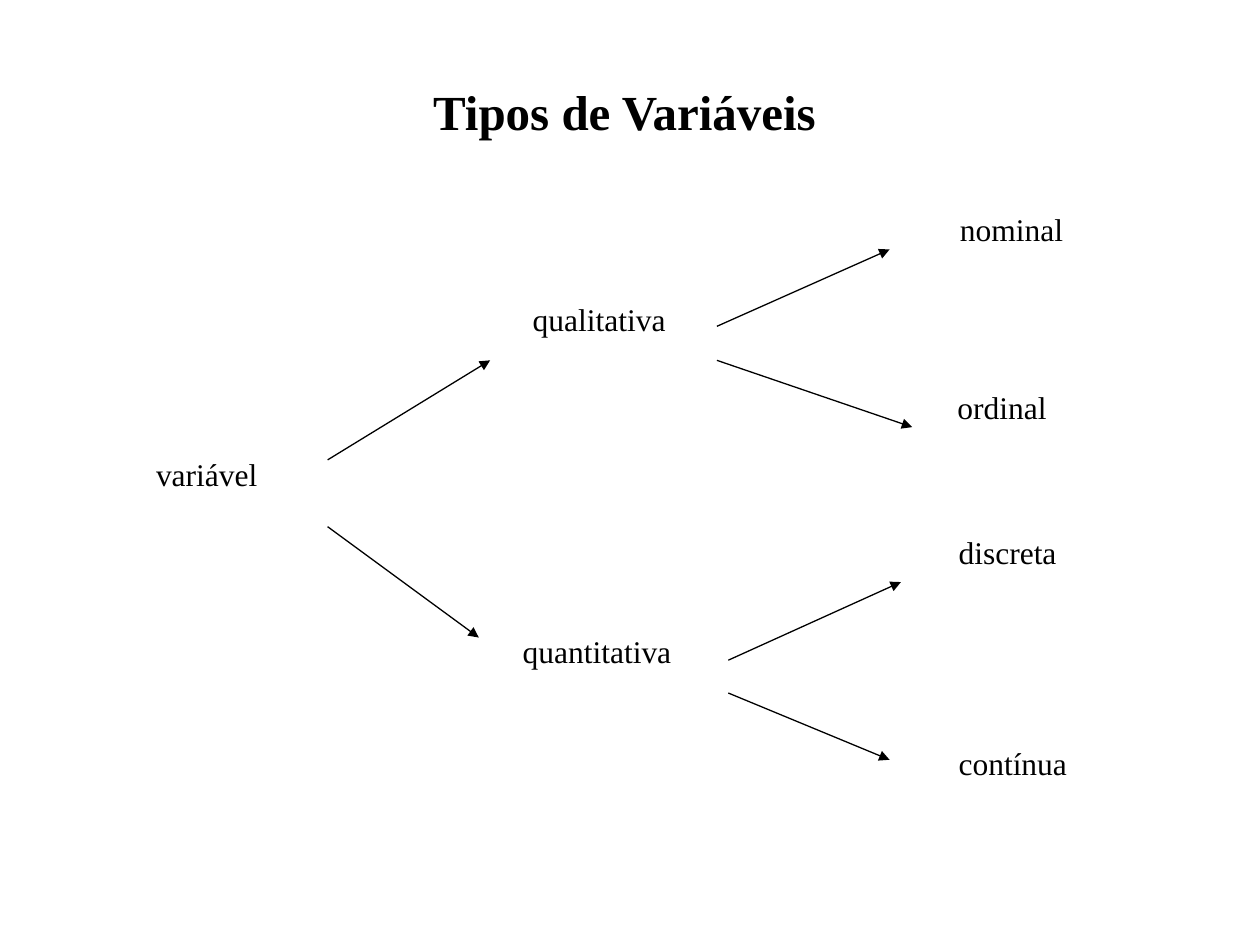
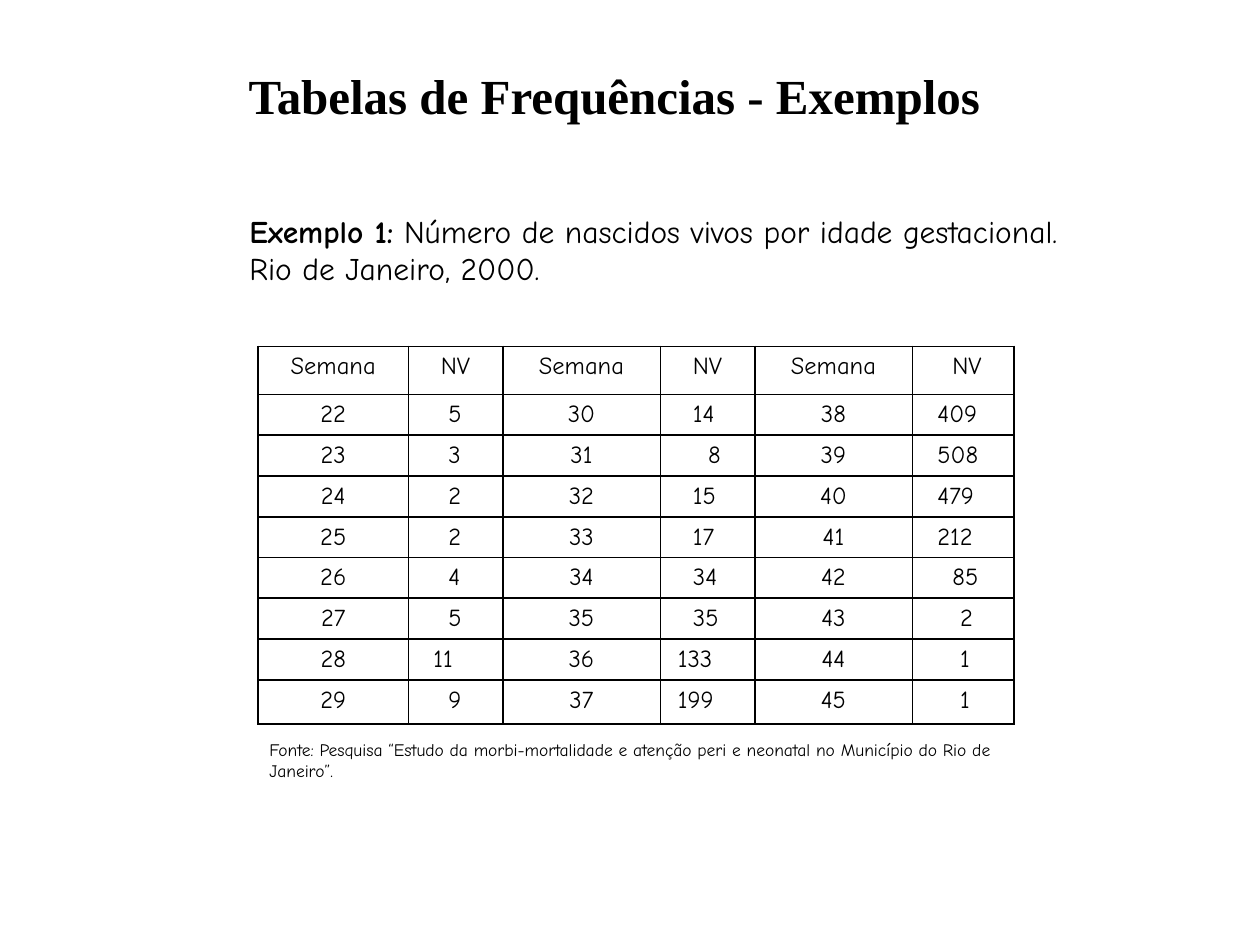
import pptx
import pptx.dml.color
import pptx.enum.shapes
import pptx.enum.text
import pptx.oxml.ns
import pptx.util
from dataclasses import dataclass
from lxml import etree

Inches = pptx.util.Inches
Pt = pptx.util.Pt
ALIGN = pptx.enum.text.PP_ALIGN
ANCHOR = pptx.enum.text.MSO_ANCHOR
qn = pptx.oxml.ns.qn


@dataclass(frozen=True)
class Theme:
    ink: str = "000000"
    paper: str = "FFFFFF"
    serif: str = "Times New Roman"
    hand: str = "Comic Neue"
    title: int = 28
    body: int = 18
    cell: int = 14
    source: int = 10
    arrow: float = 0.75
    thin: float = 0.45
    thick: float = 1.08


class Deck:
    def __init__(self, theme):
        self.theme = theme
        self.ink = pptx.dml.color.RGBColor.from_string(theme.ink)
        self.prs = pptx.Presentation()
        self.prs.slide_width, self.prs.slide_height = Inches(10), Inches(7.5)

    def slide(self):
        self.s = self.prs.slides.add_slide(self.prs.slide_layouts[6])
        fill = self.s.background.fill
        fill.solid()
        fill.fore_color.rgb = pptx.dml.color.RGBColor.from_string(self.theme.paper)

    def style(self, p, size, font, bold=None, align=ALIGN.LEFT):
        p.alignment = align
        p.font.size, p.font.name, p.font.bold = Pt(size), font, bold
        p.font.color.rgb = self.ink

    def textbox(self, box):
        return self.s.shapes.add_textbox(*map(Inches, box))

    def outline(self, box):
        """A rectangular freeform without fill or line, to hold text."""
        x, y, w, h = map(Inches, box)
        builder = self.s.shapes.build_freeform(x, y)
        builder.add_line_segments([(x + w, y), (x + w, y + h), (x, y + h)])
        sp = builder.convert_to_shape()
        sp.shadow.inherit = False
        sp.fill.background()
        sp.line.fill.background()
        return sp

    def text(self, sp, runs, size, font, bold=None, align=ALIGN.LEFT,
             anchor=ANCHOR.TOP, wrap=True, before=None):
        """Runs are plain strings, or (string, bold) pairs."""
        tf = sp.text_frame
        tf.word_wrap, tf.vertical_anchor = wrap, anchor
        p = tf.paragraphs[0]
        self.style(p, size, font, bold, align)
        if before:
            p.space_before = Pt(before)
        for run in runs:
            r = p.add_run()
            if isinstance(run, tuple):
                r.text, r.font.bold = run
            else:
                r.text = run
        return p

    def title(self, sp, text, **options):
        return self.text(sp, [text], self.theme.title, self.theme.serif, True, **options)

    def label(self, left, top, width, text, **options):
        self.text(self.outline((left, top, width, 0.4)), [text], self.theme.body,
                  self.theme.serif, **options)

    def arrow(self, start, end):
        c = self.s.shapes.add_connector(pptx.enum.shapes.MSO_CONNECTOR.STRAIGHT,
                                        *map(Inches, start + end))
        c.line.color.rgb, c.line.width = self.ink, Pt(self.theme.arrow)
        etree.SubElement(c.line._get_or_add_ln(), qn("a:tailEnd"), type="triangle")
        etree.SubElement(c._element.spPr, qn("a:effectLst"))

    def borders(self, cell, **widths):
        tcPr = cell._tc.get_or_add_tcPr()
        for i, (side, width) in enumerate(widths.items()):
            ln = etree.Element(qn(f"a:ln{side}"), w=str(Pt(width)))
            fill = etree.SubElement(ln, qn("a:solidFill"))
            etree.SubElement(fill, qn("a:srgbClr"), val=self.theme.ink)
            tcPr.insert(i, ln)

    def table(self, box, widths, heights, rows, indent):
        """Columns come in pairs: centred weeks, then indented counts."""
        t = self.theme
        table = self.s.shapes.add_table(len(rows), len(widths), *map(Inches, box)).table
        table.first_row = table.horz_banding = False
        for column, width in zip(table.columns, widths):
            column.width = Inches(width)
        for row, height in zip(table.rows, heights):
            row.height = Inches(height)
        for i, row in enumerate(rows):
            for j, value in enumerate(row):
                cell = table.cell(i, j)
                cell.fill.background()
                cell.margin_left = Inches(0.08 + indent(i, j, value))
                cell.margin_right = Inches(0.08)
                cell.margin_top, cell.margin_bottom = Inches(0.05), Inches(0.04)
                cell.text = str(value)
                centred = i == 0 or j % 2 == 0
                self.style(cell.text_frame.paragraphs[0], t.cell, t.hand,
                           align=ALIGN.CENTER if centred else ALIGN.LEFT)
                left, right = (t.thin, t.thick) if j % 2 else (t.thick, t.thin)
                self.borders(cell, L=left, R=right, T=t.thick, B=t.thick)


def variable_types(d):
    d.slide()
    d.title(d.outline((3.34, 0.6, 4.44, 0.57)), "Tipos de Variáveis", before=17.5)

    # Tree labels, by level
    d.label(1.14, 3.56, 1.63, "variável", before=11.2)
    for left, top, width, text in [
        (4.13, 2.33, 1.26, "qualitativa"),
        (4.05, 4.97, 1.38, "quantitativa"),
        (7.52, 1.62, 1.02, "nominal"),
        (7.5, 3.03, 0.91, "ordinal"),
        (7.51, 4.18, 0.98, "discreta"),
        (7.51, 5.86, 1.06, "contínua"),
    ]:
        d.label(left, top, width, text, wrap=False)

    # Branches
    for start, end in [
        ((2.6, 3.65), (3.89, 2.86)),
        ((2.6, 4.18), (3.8, 5.06)),
        ((5.69, 2.59), (7.06, 1.98)),
        ((5.69, 2.86), (7.24, 3.39)),
        ((5.78, 5.24), (7.15, 4.62)),
        ((5.78, 5.5), (7.06, 6.03)),
    ]:
        d.arrow(start, end)


def frequency_table(d):
    t = d.theme
    d.slide()
    p = d.title(d.textbox((1.53, 0.47, 6.69, 0.57)), "Tabelas de Frequências - Exemplos",
                align=ALIGN.CENTER, anchor=ANCHOR.BOTTOM)
    p.line_spacing = 1.3
    d.text(d.outline((1.88, 1.63, 6.62, 0.7)),
           [("Exemplo 1:", True),
            " Número de nascidos vivos por idade gestacional. Rio de Janeiro, 2000."],
           t.body, t.hand, before=11.2)

    # Live births by week, eight weeks to a pair of columns
    births = [5, 3, 2, 2, 4, 5, 11, 9,
              14, 8, 15, 17, 34, 35, 133, 199,
              409, 508, 479, 212, 85, 2, 1, 1]
    first_week, depth = 22, 8
    rows = [["Semana", "NV"] * 3]
    for i in range(depth):
        rows.append([v for k in range(i, len(births), depth)
                     for v in (first_week + k, births[k])])

    # Indent steps of a count, by column and number of digits
    steps = {1: {1: 4, 2: 2}, 3: {1: 5, 2: 3, 3: 1}, 5: {1: 5, 2: 4, 3: 2}}
    step = 0.06

    def indent(i, j, value):
        if i == 0:
            return step if j == 5 else 0
        return step * steps[j][len(str(value))] if j in steps else 0

    d.table((2.05, 2.75, 6, 2.92), [1.19, 0.75, 1.25, 0.75, 1.25, 0.81],
            [0.38] + [0.31] * 7 + [0.35], rows, indent)

    # Source line
    d.text(d.textbox((2.04, 5.81, 6.04, 0.44)),
           ["Fonte: Pesquisa “Estudo da morbi-mortalidade e atenção peri e neonatal "
            "no Município do Rio de Janeiro”."],
           t.source, t.hand, anchor=ANCHOR.BOTTOM)


def main():
    d = Deck(Theme())
    variable_types(d)
    frequency_table(d)
    d.prs.save("out.pptx")


if __name__ == "__main__":
    main()
